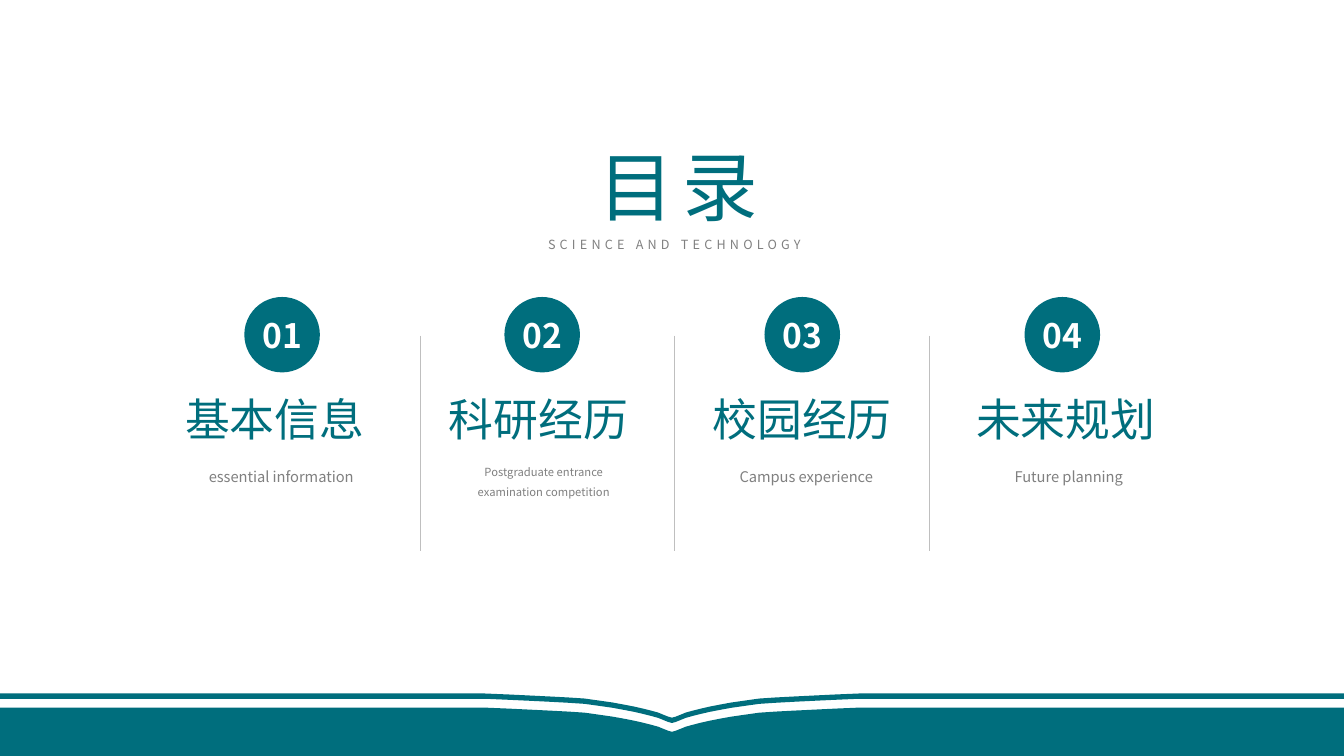
"""Build a contents slide with four numbered chapters above an open book."""
from dataclasses import dataclass

from lxml import etree
from pptx import Presentation
from pptx.dml.color import RGBColor
from pptx.enum.shapes import MSO_CONNECTOR, MSO_SHAPE
from pptx.enum.text import MSO_ANCHOR, MSO_AUTO_SIZE, PP_ALIGN
from pptx.oxml.ns import qn
from pptx.slide import Slide
from pptx.text.text import TextFrame
from pptx.util import Inches, Pt

CENTER = PP_ALIGN.CENTER
MIDDLE = MSO_ANCHOR.MIDDLE
GROW = MSO_AUTO_SIZE.SHAPE_TO_FIT_TEXT
OVAL = MSO_SHAPE.OVAL
STRAIGHT = MSO_CONNECTOR.STRAIGHT

TEAL = RGBColor(0x00, 0x6E, 0x7D)
GRAY = RGBColor(0x80, 0x80, 0x80)
RULE_GRAY = RGBColor(0xBF, 0xBF, 0xBF)
WHITE = RGBColor(0xFF, 0xFF, 0xFF)
FONT = "Noto Sans CJK SC"

SLIDE_WIDTH = Inches(13.33)
SLIDE_HEIGHT = Inches(7.5)

BOOK_TOP = 91.73
BOOK_EDGE = [
    (0, 0), (36.1, 0), (37.8, 0.13), (39.45, 0.27), (40.95, 0.4), (42.3, 0.53),
    (43.5, 0.67), (44.55, 0.93), (45.6, 1.2), (46.43, 1.47), (47.18, 1.73),
    (47.85, 2), (48.45, 2.27), (48.98, 2.53), (49.35, 2.8), (49.73, 3.07), (50, 3.2),
]


@dataclass(frozen=True)
class Area:
    """A box in percent of the slide, with the step to its next column."""
    left: float
    top: float
    width: float
    height: float
    step: float = 0

    def box(self, column: int = 0) -> tuple[int, int, int, int]:
        return (across(self.left + column * self.step), down(self.top),
                across(self.width), down(self.height))


@dataclass(frozen=True)
class Style:
    """The look of a line of text."""
    size: float
    color: RGBColor
    bold: bool = False
    tracking: float = 0
    line_spacing: float = 1


@dataclass(frozen=True)
class Chapter:
    """One entry of the contents."""
    heading: str
    caption: str
    caption_size: float = 10.5
    caption_height: float = 3.6


TITLE = Area(43.28, 17.87, 14.4, 13.47)
SUBTITLE = Area(39.3, 30.67, 21.75, 3.33)
BADGE = Area(18.18, 39.28, 5.62, 9.98, 19.35)
DIVIDER = Area(31.27, 44.4, 0, 28.53, 18.94)
HEADING = Area(11.78, 51.2, 17.33, 8.53, 19.62)

CHAPTERS = [
    Chapter("基本信息", "essential information"),
    Chapter("科研经历", "Postgraduate entrance examination competition", 8, 5.33),
    Chapter("校园经历", "Campus experience"),
    Chapter("未来规划", "Future planning"),
]


def across(percent: float) -> int:
    return round(SLIDE_WIDTH * percent / 100)


def down(percent: float) -> int:
    return round(SLIDE_HEIGHT * percent / 100)


def write(frame: TextFrame, text: str, style: Style) -> None:
    paragraph = frame.paragraphs[0]
    paragraph.text = text
    paragraph.alignment = CENTER
    paragraph.line_spacing = style.line_spacing
    font = paragraph.font
    font.name = FONT
    font.size = Pt(style.size)
    font.bold = style.bold
    font.color.rgb = style.color
    defaults = paragraph._p.pPr.find(qn("a:defRPr"))
    latin = defaults.find(qn("a:latin"))
    east_asian = etree.Element(qn("a:ea"), typeface=FONT)
    latin.addnext(east_asian)
    if style.tracking:
        defaults.set("spc", str(round(style.tracking * 100)))


def clear_margins(frame: TextFrame) -> None:
    frame.margin_left = frame.margin_right = 0
    frame.margin_top = frame.margin_bottom = 0


def add_label(slide: Slide, area: Area, text: str, style: Style,
              column: int = 0, inset: bool = True) -> None:
    frame = slide.shapes.add_textbox(*area.box(column)).text_frame
    frame.word_wrap = True
    frame.auto_size = GROW
    if not inset:
        clear_margins(frame)
    write(frame, text, style)


def add_badge(slide: Slide, column: int) -> None:
    badge = slide.shapes.add_shape(OVAL, *BADGE.box(column))
    badge.shadow.inherit = False
    badge.fill.solid()
    badge.fill.fore_color.rgb = TEAL
    badge.line.fill.background()
    frame = badge.text_frame
    frame.vertical_anchor = MIDDLE
    clear_margins(frame)
    write(frame, f"{column + 1:02}", Style(24, WHITE, bold=True))


def add_divider(slide: Slide, column: int) -> None:
    left, top, _, height = DIVIDER.box(column)
    divider = slide.shapes.add_connector(STRAIGHT, left, top, left, top + height)
    divider.line.color.rgb = RULE_GRAY
    divider.line.width = Pt(0.5)
    etree.SubElement(divider._element.spPr, qn("a:effectLst"))


def book_edge(offset: float) -> list[tuple[float, float]]:
    left_page = [(x, BOOK_TOP + offset + drop) for x, drop in BOOK_EDGE]
    right_page = [(100 - x, y) for x, y in reversed(left_page[:-1])]
    return left_page + right_page


def add_page(slide: Slide, upper: list[tuple[float, float]],
             lower: list[tuple[float, float]]) -> None:
    outline = [(across(x), down(y)) for x, y in upper + lower[::-1]]
    builder = slide.shapes.build_freeform(*outline[0])
    builder.add_line_segments(outline[1:], close=True)
    page = builder.convert_to_shape()
    page.shadow.inherit = False
    page.fill.solid()
    page.fill.fore_color.rgb = TEAL
    page.line.fill.background()


def main() -> None:
    deck = Presentation()
    deck.slide_width = SLIDE_WIDTH
    deck.slide_height = SLIDE_HEIGHT
    slide = deck.slides.add_slide(deck.slide_layouts[6])

    add_page(slide, book_edge(0), book_edge(0.7))
    add_page(slide, book_edge(1.87), [(0, 100), (100, 100)])
    add_label(slide, SUBTITLE, "SCIENCE AND TECHNOLOGY", Style(9, GRAY, tracking=3))
    add_label(slide, TITLE, "目录", Style(54, TEAL, tracking=6))

    for column, chapter in enumerate(CHAPTERS):
        add_badge(slide, column)
        if column < len(CHAPTERS) - 1:
            add_divider(slide, column)
        add_label(slide, HEADING, chapter.heading, Style(32, TEAL), column)
        caption = Area(14.78, 60.67, 12.3, chapter.caption_height, 19.53)
        add_label(slide, caption, chapter.caption,
                  Style(chapter.caption_size, GRAY, line_spacing=1.5), column, inset=False)

    deck.save("out.pptx")


if __name__ == "__main__":
    main()
